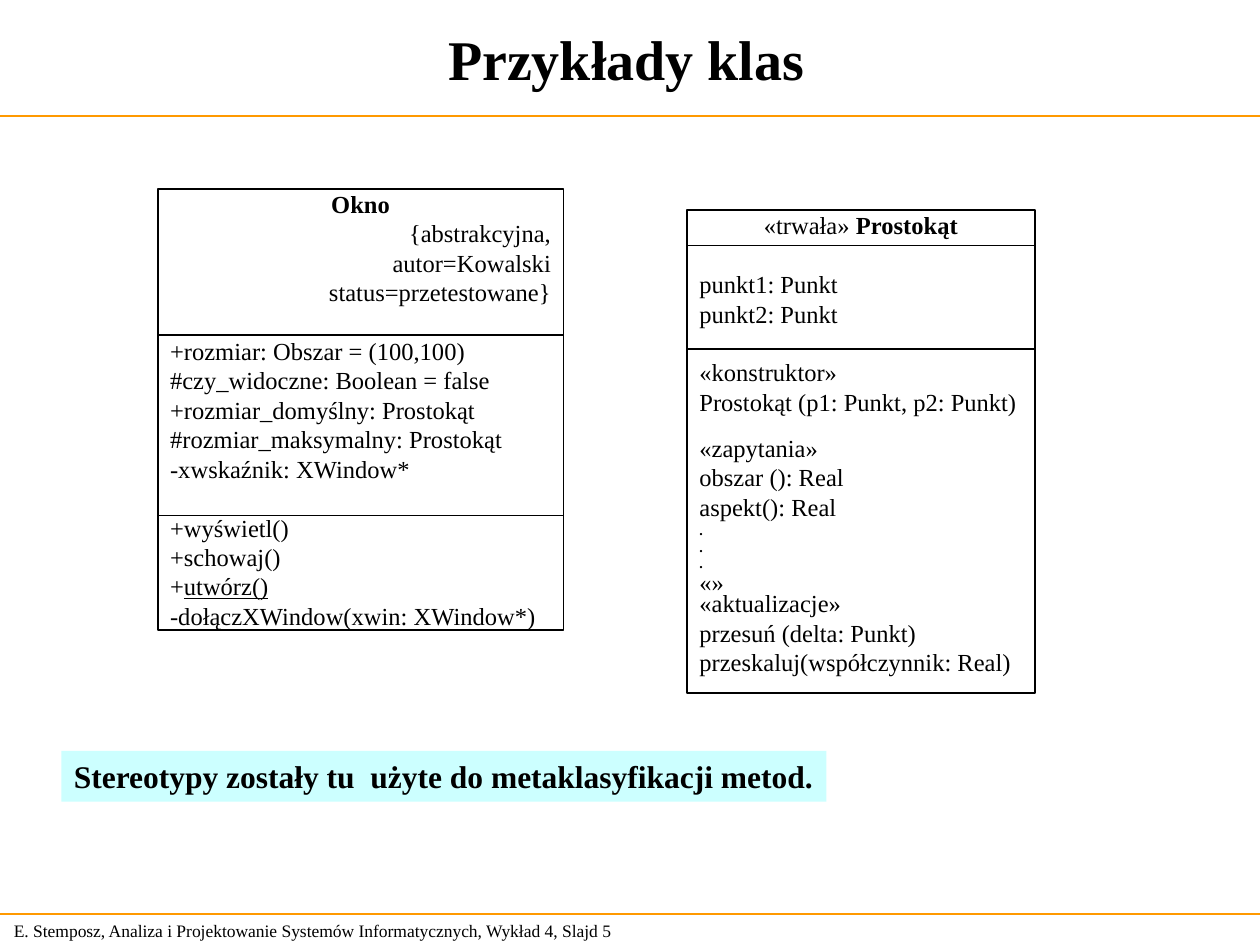
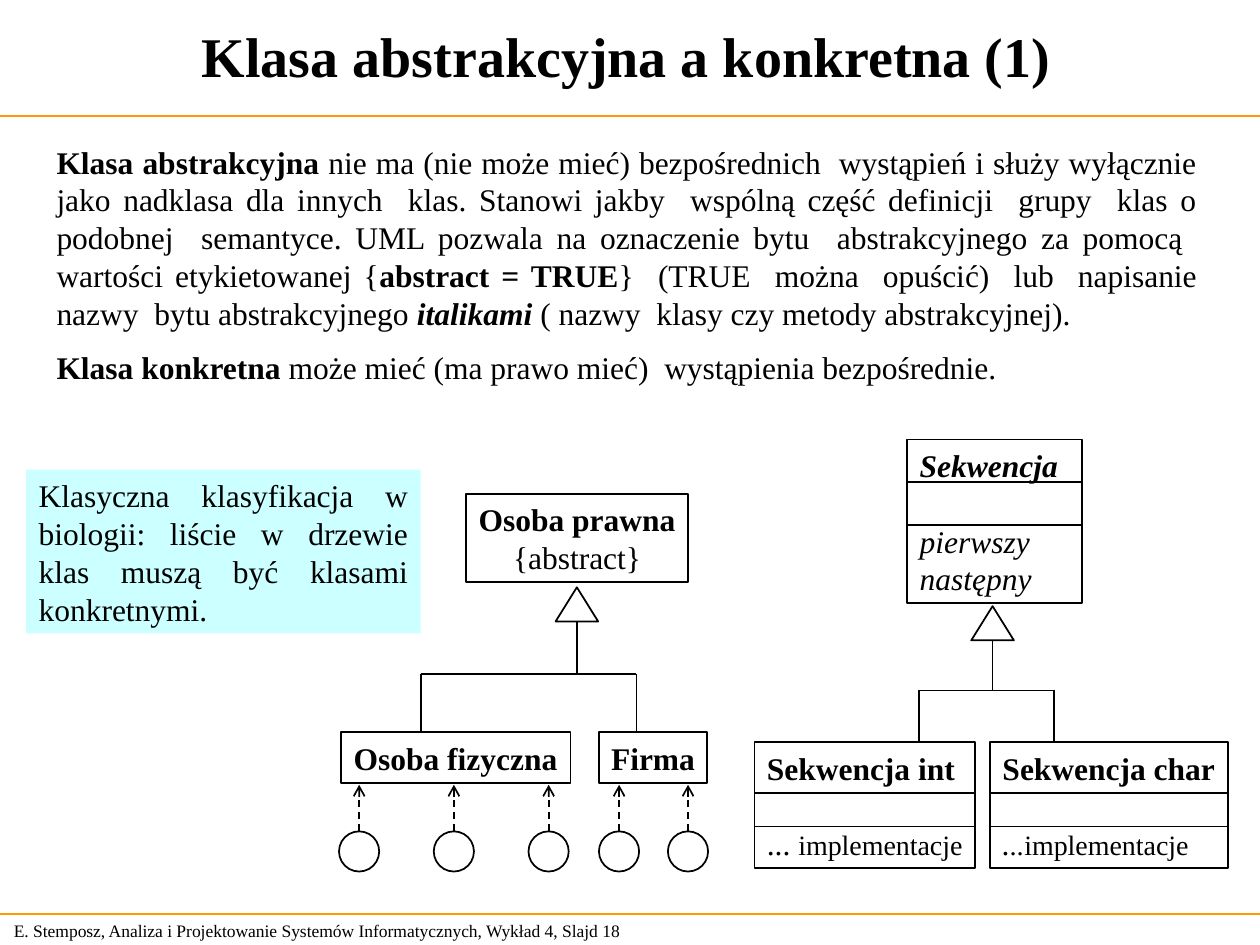
from collections import namedtuple

from lxml import etree
from pptx import Presentation
from pptx.dml.color import RGBColor
from pptx.enum.dml import MSO_LINE
from pptx.enum.shapes import MSO_CONNECTOR, MSO_SHAPE
from pptx.enum.text import MSO_ANCHOR, PP_ALIGN
from pptx.oxml.ns import qn
from pptx.util import Cm, Pt

LEFT, CENTER, RIGHT, JUSTIFY = PP_ALIGN.LEFT, PP_ALIGN.CENTER, PP_ALIGN.RIGHT, PP_ALIGN.JUSTIFY
TOP, MIDDLE = MSO_ANCHOR.TOP, MSO_ANCHOR.MIDDLE
RECTANGLE, OVAL, TRIANGLE = MSO_SHAPE.RECTANGLE, MSO_SHAPE.OVAL, MSO_SHAPE.ISOSCELES_TRIANGLE
STRAIGHT, DASH = MSO_CONNECTOR.STRAIGHT, MSO_LINE.DASH

FONT = "Times New Roman"
BLACK, ORANGE, PALE_CYAN = "000000", "FF9900", "CCFFFF"
SLIDE_WIDTH, SLIDE_HEIGHT = 25.4, 19.05
TITLE_RULE_Y, FOOTER_RULE_Y = 2.34, 18.42
LINE_HEIGHT = 1.2
FOOTER = "E. Stemposz, Analiza i Projektowanie Systemów Informatycznych, Wykład 4, Slajd "

Box = namedtuple("Box", "left top width height")
Run = namedtuple("Run", "text style size", defaults=("", None))
Para = namedtuple("Para", "runs align skip", defaults=(LEFT, 0))


def color(hex_code):
    """Turn a hex string into a colour."""
    return RGBColor.from_string(hex_code)


def line_of(text, style="", align=LEFT, skip=0, size=None):
    """Make a one-run paragraph; skip is the text size of a line left free above it."""
    return Para([Run(text, style, size)], align, skip)


def write(shape, paragraphs, size, anchor=TOP, wrap=True, pad=0.13):
    """Fill a shape's text frame run by run."""
    frame = shape.text_frame
    frame.word_wrap = wrap
    frame.vertical_anchor = anchor
    frame.margin_left = frame.margin_right = Cm(0.25)
    frame.margin_top = frame.margin_bottom = Cm(pad)
    for index, content in enumerate(paragraphs):
        paragraph = frame.add_paragraph() if index else frame.paragraphs[0]
        paragraph.alignment = content.align
        if content.skip:
            paragraph.space_before = Pt(round(content.skip * LINE_HEIGHT, 1))
        for part in content.runs:
            run = paragraph.add_run()
            run.text = part.text
            run.font.name = FONT
            run.font.size = Pt(part.size or size)
            run.font.color.rgb = color(BLACK)
            run.font.bold = "b" in part.style
            run.font.italic = "i" in part.style
            run.font.underline = "u" in part.style


def add_text(slide, box, paragraphs, size, **layout):
    """Add a plain text box."""
    write(slide.shapes.add_textbox(*map(Cm, box)), paragraphs, size, **layout)


def add_outline(slide, kind, box):
    """Add an unfilled shape with a thin black outline."""
    shape = slide.shapes.add_shape(kind, *map(Cm, box))
    shape.shadow.inherit = False
    shape.fill.background()
    shape.line.color.rgb = color(BLACK)
    shape.line.width = Pt(1)
    return shape


def add_line(slide, x1, y1, x2, y2, hue=BLACK):
    """Add a straight line without a shadow."""
    connector = slide.shapes.add_connector(STRAIGHT, Cm(x1), Cm(y1), Cm(x2), Cm(y2))
    connector.line.color.rgb = color(hue)
    connector.line.width = Pt(1)
    etree.SubElement(connector.element.spPr, qn("a:effectLst"))
    return connector


def add_note(slide, box, paragraph, wrap=True):
    """Add a remark on a pale cyan ground."""
    note = add_outline(slide, RECTANGLE, box)
    note.fill.solid()
    note.fill.fore_color.rgb = color(PALE_CYAN)
    note.line.fill.background()
    write(note, [paragraph], 18, wrap=wrap)


def add_class(slide, box, paragraphs, size=18, dividers=(), **layout):
    """Draw a class box with dividers at the given distances below its top."""
    write(add_outline(slide, RECTANGLE, box), paragraphs, size, **layout)
    for offset in dividers:
        y = box.top + offset
        add_line(slide, box.left, y, box.left + box.width, y)


def add_inheritance(slide, apex_x, apex_y, bar_y, child_xs, child_top):
    """Draw a generalisation triangle, its stem, and the branches to the subclasses."""
    width, height = 0.86, 0.69
    add_outline(slide, TRIANGLE, Box(apex_x - width / 2, apex_y, width, height))
    add_line(slide, apex_x, apex_y + height, apex_x, bar_y)
    add_line(slide, child_xs[0], bar_y, child_xs[-1], bar_y)
    for x in child_xs:
        add_line(slide, x, bar_y, x, child_top)


def add_instances(slide, class_box, first_x, step, count):
    """Draw equally spaced instances with dashed arrows up to their class."""
    diameter = 0.81
    arrow_y = class_box.top + class_box.height + 0.04
    circle_y = class_box.top + 2
    for index in range(count):
        x = first_x + index * step
        instance = add_outline(slide, OVAL, Box(x - diameter / 2, circle_y, diameter, diameter))
        arrow = add_line(slide, x, circle_y, x, arrow_y)
        arrow.begin_connect(instance, 0)
        arrow.line.dash_style = DASH
        outline = arrow.element.spPr.find(qn("a:ln"))
        etree.SubElement(outline, qn("a:tailEnd"), type="arrow")


def add_frame(deck, title, title_top, number):
    """Add a slide with the shared title, rules and footer."""
    slide = deck.slides.add_slide(deck.slide_layouts[6])
    add_text(slide, Box(0.03, FOOTER_RULE_Y, 13.31, 0.69), [line_of(f"{FOOTER}{number}")], 10,
             anchor=MIDDLE)
    for y in (TITLE_RULE_Y, FOOTER_RULE_Y):
        add_line(slide, 0, y, SLIDE_WIDTH, y, ORANGE)
    add_text(slide, Box(0, title_top, 25.26, 2.16), [line_of(title, "b", CENTER)], 32,
             anchor=MIDDLE)
    return slide


def build_class_examples(deck):
    """Build the slide with two detailed classes."""
    slide = add_frame(deck, "Przykłady klas", 0.1, 5)
    rectangle = Box(13.85, 4.24, 7.01, 9.73)
    add_class(slide, rectangle, [
        Para([Run("«trwała»"), Run(" Prostokąt", "b")], CENTER),
        line_of("punkt1: Punkt", skip=14),
        line_of("punkt2: Punkt"),
        line_of("«konstruktor»", skip=14),
        line_of("Prostokąt (p1: Punkt, p2: Punkt)"),
        line_of("«zapytania»", skip=8),
        line_of("obszar (): Real"),
        line_of("aspekt(): Real"),
        *[line_of(".", "b", size=8)] * 3,
        line_of("«aktualizacje»", skip=8),
        line_of("przesuń (delta: Punkt)"),
        line_of("przeskaluj(współczynnik: Real)"),
    ], 14, (0.71, 2.79), pad=0)
    add_class(slide, Box(3.18, 3.81, 8.18, 8.89), [
        line_of("Okno", "b", CENTER),
        line_of("{abstrakcyjna,", align=RIGHT),
        line_of("autor=Kowalski", align=RIGHT),
        line_of("status=przetestowane}", align=RIGHT),
        line_of("+rozmiar: Obszar = (100,100)", skip=14),
        line_of("#czy_widoczne: Boolean = false"),
        line_of("+rozmiar_domyślny: Prostokąt"),
        line_of("#rozmiar_maksymalny: Prostokąt"),
        line_of("-xwskaźnik: XWindow*"),
        line_of("+wyświetl()", skip=14),
        line_of("+schowaj()"),
        Para([Run("+"), Run("utwórz()", "u")]),
        line_of("-dołączXWindow(xwin: XWindow*)"),
    ], 14, (2.95, 6.58), pad=0)
    add_note(slide, Box(1.24, 15.14, 15.42, 1.02),
             line_of("Stereotypy zostały tu  użyte do metaklasyfikacji metod.", "b"), wrap=False)
    add_text(slide, Box(rectangle.left, rectangle.top + 7.06, 1.5, 0.86),
             [line_of("«»")], 14, anchor=MIDDLE)


def add_definitions(slide, box):
    """Write the definitions of abstract and concrete classes."""
    add_text(slide, box, [
        Para([
            Run("Klasa abstrakcyjna ", "b"),
            Run("nie ma (nie może mieć) bezpośrednich  wystąpień i służy wyłącznie jako nadklasa "
                "dla innych  klas. Stanowi jakby  wspólną część definicji  grupy  klas o podobnej  "
                "semantyce. UML pozwala na oznaczenie bytu  abstrakcyjnego za pomocą  wartości "
                "etykietowanej {"),
            Run("abstract = TRUE", "b"),
            Run("}  (TRUE  można  opuścić)  lub  napisanie nazwy  bytu abstrakcyjnego "),
            Run("italikami ", "bi"),
            Run("( nazwy  klasy czy metody abstrakcyjnej)"),
            Run(".", "i"),
        ], JUSTIFY),
        Para([
            Run("Klasa konkretna ", "b"),
            Run("może mieć (ma prawo mieć)  wystąpienia bezpośrednie."),
        ], JUSTIFY, 8),
    ], 18, anchor=MIDDLE)


def add_person_tree(slide, left, top):
    """Draw the legal person hierarchy with its instances."""
    person = Box(left, top + 4.8, 4.62, 1.02)
    company = Box(left + 5.19, top + 4.8, 2.18, 1.02)
    add_class(slide, Box(left + 2.52, top, 4.47, 1.78), [
        line_of("Osoba prawna", "b", CENTER),
        line_of("{abstract}", align=CENTER),
    ], wrap=False)
    add_class(slide, person, [line_of("Osoba fizyczna", "b")], wrap=False)
    add_class(slide, company, [line_of("Firma", "b")], wrap=False)
    add_inheritance(slide, left + 4.75, top + 1.88, top + 3.63,
                    (left + 1.6, left + 5.95), person.top)
    add_instances(slide, person, left + 0.36, 1.91, 3)
    add_instances(slide, company, left + 5.6, 1.39, 2)


def add_sequence_tree(slide, left, top):
    """Draw the sequence hierarchy."""
    child_top = top + 6.1
    add_class(slide, Box(left + 3.08, top, 3.53, 3.3), [
        line_of("Sekwencja", "bi"),
        line_of("pierwszy", "i", skip=18),
        line_of("następny", "i"),
    ], dividers=(0.86, 1.73))
    children = (
        ("Sekwencja int", 0, 4.45, [Run("... "), Run("implementacje", "", 16)]),
        ("Sekwencja char", 4.75, 4.8,
         [Run(".", "i"), Run("..", "i", 16), Run("implementacje", "", 16)]),
    )
    for name, offset, width, body in children:
        add_class(slide, Box(left + offset, child_top, width, 2.54),
                  [line_of(name, "b"), Para(body, skip=18)], dividers=(1.02, 1.7), wrap=False)
    add_inheritance(slide, left + 4.8, top + 3.36, top + 5.06,
                    (left + 3.31, left + 6.03), child_top)


def build_abstract_and_concrete(deck):
    """Build the slide comparing abstract and concrete classes."""
    slide = add_frame(deck, "Klasa abstrakcyjna a konkretna (1)", 0.03, 18)
    add_person_tree(slide, 6.88, 9.96)
    add_sequence_tree(slide, 15.21, 8.86)
    add_note(slide, Box(0.53, 9.47, 7.95, 3.3), line_of(
        "Klasyczna klasyfikacja w biologii: liście w drzewie klas muszą być klasami konkretnymi.",
        align=JUSTIFY))
    add_definitions(slide, Box(0.89, 2.74, 23.5, 5.18))


def main():
    """Build and save the deck."""
    deck = Presentation()
    deck.slide_width, deck.slide_height = Cm(SLIDE_WIDTH), Cm(SLIDE_HEIGHT)
    build_class_examples(deck)
    build_abstract_and_concrete(deck)
    deck.save("out.pptx")


if __name__ == "__main__":
    main()
